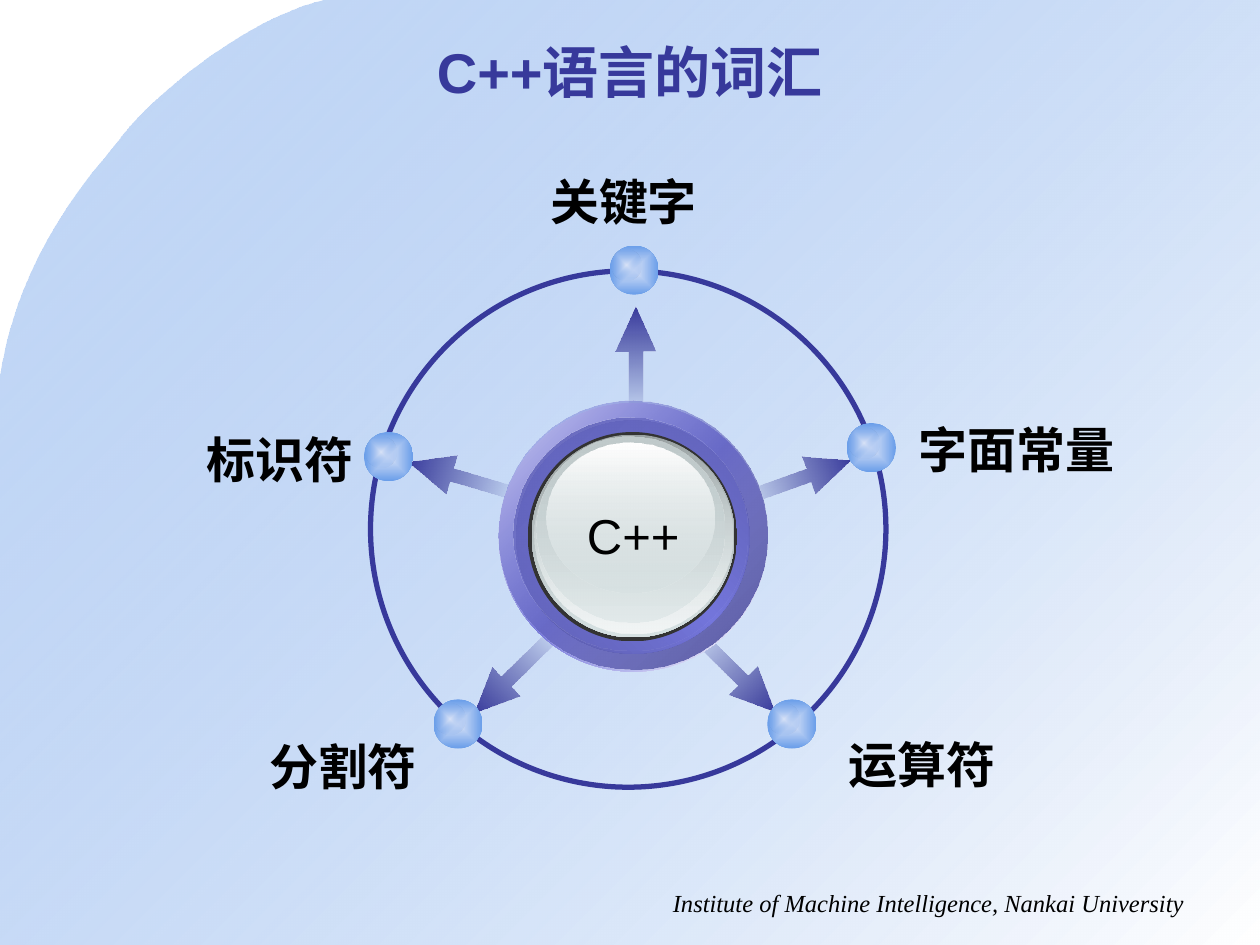
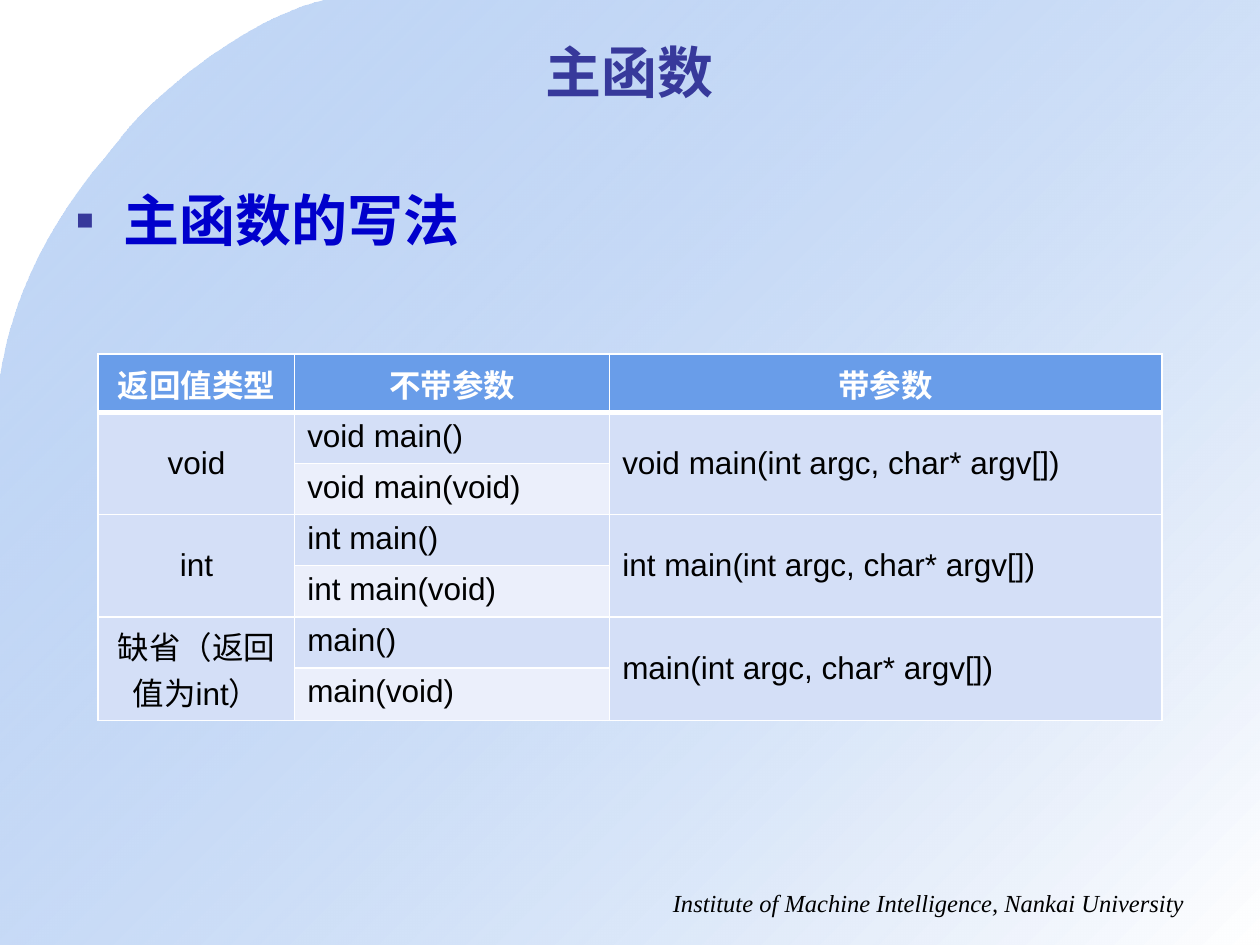
from lxml import etree
from pptx import Presentation
from pptx import util as u
from pptx.dml.color import RGBColor
from pptx.enum import shapes, text
from pptx.oxml import parse_xml
from pptx.oxml.ns import qn

Cm, Pt = u.Cm, u.Pt
SHAPE, ALIGN, ANCHOR = shapes.MSO_SHAPE, text.PP_ALIGN, text.MSO_ANCHOR

INDIGO = RGBColor(0x37, 0x39, 0x9B)
DEEP_INDIGO = RGBColor(0x34, 0x36, 0x93)
VIOLET = RGBColor(0x74, 0x76, 0xDC)
DARK_VIOLET = RGBColor(0x53, 0x54, 0x9D)
MID_VIOLET = RGBColor(0x59, 0x5A, 0xA8)
SOFT_VIOLET = RGBColor(0x5F, 0x61, 0xB5)
SKY = RGBColor(0x69, 0x9D, 0xE9)
PALE_SKY = RGBColor(0xDB, 0xE4, 0xF8)
STRONG_BLUE = RGBColor(0x00, 0x00, 0xCC)
CELL_BLUE = RGBColor(0xD4, 0xDF, 0xF7)
CELL_PALE = RGBColor(0xEB, 0xEF, 0xFB)
STEEL = RGBColor(0x99, 0xA1, 0xA2)
SILVER = RGBColor(0xC1, 0xCB, 0xCC)
MIST = RGBColor(0xD6, 0xE1, 0xE2)
FROST = RGBColor(0xF2, 0xF5, 0xF5)
CHARCOAL = RGBColor(0x33, 0x33, 0x33)
BLACK = RGBColor(0, 0, 0)
WHITE = RGBColor(0xFF, 0xFF, 0xFF)

SANS, CJK, SERIF = "Arial", "Noto Sans CJK SC", "Times New Roman"
SLIDE_W, SLIDE_H = 25.4, 19.05

# Shared content (lengths in cm)
FOOTER = "Institute of Machine Intelligence, Nankai University"
FOOTER_BOX = (12.27, 17.78, 11.86, 0.86)
TITLE_BOX = (1.27, 0.64, 22.86, 1.57)
CORNER_CURVES = [
    [(6.55, 0), (4.83, 0.41), (2.95, 2.11), (2.49, 2.72)],
    [(2.49, 2.72), (2.03, 3.35), (0.41, 4.93), (0, 7.65)],
]

# Vocabulary slide: word, label corner, node corner, arrow corner, arrow turn
VOCABULARY_TITLE = "C++语言的词汇"
HUB_WORD = "C++"
VOCABULARY = [
    ("关键字", (10.77, 3.33), (12.29, 4.95), (11.71, 6.88), 270),
    ("运算符", (16.79, 14.68), (15.47, 14.1), (13.72, 13.16), 45),
    ("标识符", (3.84, 8.53), (7.34, 8.71), (8.2, 9.22), 196.2),
    ("分割符", (5.11, 14.73), (8.74, 14.1), (9.25, 13.18), 135.5),
    ("字面常量", (18.19, 8.33), (17.07, 8.53), (14.99, 9.25), 340.4),
]
ORBIT = (7.47, 5.46, 10.39, 10.41)
ARROW_SIZE = (2.21, 0.81)
NODE_SIZE, GLINT_SIZE, GLINT_SHIFT = 0.99, 0.62, (0.03, 0.09)
GLYPH_WIDTH, LABEL_PADDING, LABEL_HEIGHT = 0.99, 0.56, 1.45

# Hub discs from back to front: box, gradient stops (position, colour, opacity), angle
HUB_DISCS = [
    ((10.06, 8.13, 5.41, 5.41), [(0, WHITE, 100), (50, VIOLET, 100), (100, WHITE, 100)], 45),
    ((10.06, 8.08, 5.41, 5.41), [(0, VIOLET, 32), (100, DARK_VIOLET, 100)], 45),
    ((10.41, 8.48, 4.7, 4.7),
     [(0, MID_VIOLET, 100), (50, VIOLET, 100), (100, MID_VIOLET, 100)], 315),
    ((10.36, 8.41, 4.7, 4.7), [(0, SOFT_VIOLET, 100), (100, VIOLET, 0)], 45),
    ((10.64, 8.71, 4.22, 4.22), [(0, CHARCOAL, 100), (100, CHARCOAL, 100)], 0),
    ((10.72, 8.76, 4.09, 4.09), [(0, STEEL, 100), (100, MIST, 100)], 90),
    ((10.77, 8.79, 3.99, 3.99), [(0, MIST, 0), (100, FROST, 100)], 90),
    ((10.82, 8.81, 3.78, 3.73), [(0, SILVER, 100), (100, MIST, 48)], 90),
    ((11.02, 8.92, 3.38, 3.02), [(0, WHITE, 100), (100, MIST, 38)], 90),
]

# Main function slide
MAIN_TITLE = "主函数"
MAIN_POINT = "主函数的写法"
POINT_BOX = (1.27, 3.61, 22.66, 1.37)
TABLE_CORNER = (1.98, 7.14)
COLUMN_WIDTHS, ROW_HEIGHT = (3.96, 6.35, 11.13), 1.03
HEADINGS = ["返回值类型", "不带参数", "带参数"]
SIGNATURES = [
    ("void", ("void main()", "void main(void)"), "void main(int argc, char* argv[])"),
    ("int", ("int main()", "int main(void)"), "int main(int argc, char* argv[])"),
    ("缺省（返回值为int）", ("main()", "main(void)"), "main(int argc, char* argv[])"),
]


def lengths(box):
    return [Cm(value) for value in box]


def write(frame, words, size=18, font=SANS, color=BLACK, bold=False, italic=False,
          align=ALIGN.LEFT, anchor=ANCHOR.TOP, wrap=True):
    frame.word_wrap = wrap
    frame.vertical_anchor = anchor
    paragraph = frame.paragraphs[0]
    paragraph.alignment = align
    paragraph.space_before = Pt(0)
    run = paragraph.add_run()
    run.text = words
    run.font.size, run.font.name = Pt(size), font
    run.font.bold, run.font.italic = bold, italic
    run.font.color.rgb = color
    etree.SubElement(run._r.get_or_add_rPr(), qn("a:ea"), typeface=CJK)
    return paragraph


def add_label(slide, box, words, **style):
    write(slide.shapes.add_textbox(*lengths(box)).text_frame, words, **style)


def paint(shape, stops, angle=None):
    """Fill with a linear gradient, or one from the centre outwards without an angle."""
    shape.shadow.inherit = False
    shape.line.fill.background()
    shape.fill.solid()
    marks = "".join(
        f'<a:gs pos="{position * 1000}"><a:srgbClr val="{color}">'
        f'<a:alpha val="{opacity * 1000}"/></a:srgbClr></a:gs>'
        for position, color, opacity in stops)
    if angle is None:
        course = ('<a:path path="shape"><a:fillToRect l="50000" t="50000" '
                  'r="50000" b="50000"/></a:path>')
    else:
        course = f'<a:lin ang="{angle * 60000}" scaled="1"/>'
    gradient = parse_xml(
        '<a:gradFill xmlns:a="http://schemas.openxmlformats.org/drawingml/2006/main" '
        f'rotWithShape="1"><a:gsLst>{marks}</a:gsLst>{course}</a:gradFill>')
    properties = shape.element.spPr
    properties.replace(properties.find(qn("a:solidFill")), gradient)


def add_disc(holder, box, stops, angle=None):
    paint(holder.shapes.add_shape(SHAPE.OVAL, *lengths(box)), stops, angle)


def curve_points(start, pull_out, pull_in, end, steps=24):
    """Points along a cubic Bezier curve, without its start."""
    for step in range(1, steps + 1):
        t = step / steps
        weights = ((1 - t) ** 3, 3 * t * (1 - t) ** 2, 3 * t * t * (1 - t), t ** 3)
        yield tuple(
            Cm(sum(w * point[axis] for w, point in zip(weights, (start, pull_out, pull_in, end))))
            for axis in (0, 1))


def decorate_master(prs, slide):
    """Draw the backdrop and footer, then move them to the master all slides share."""
    builder = slide.shapes.build_freeform(*lengths(CORNER_CURVES[0][0]), scale=1.0)
    outline = [point for curve in CORNER_CURVES for point in curve_points(*curve)]
    corners = [(0, SLIDE_H), (SLIDE_W, SLIDE_H), (SLIDE_W, 0)]
    builder.add_line_segments(outline + [tuple(lengths(corner)) for corner in corners])
    backdrop = builder.convert_to_shape()
    paint(backdrop, [(0, SKY, 39), (100, WHITE, 100)], 45)
    add_label(slide, FOOTER_BOX, FOOTER, size=14, font=SERIF, italic=True, align=ALIGN.RIGHT)
    footer = slide.shapes[-1]
    for order, part in enumerate((backdrop, footer)):
        part.element.xpath(".//p:cNvPr")[0].set("id", str(100 + order))
        prs.slide_master.shapes.element.insert(2 + order, part.element)


def place(placeholder, box):
    placeholder.left, placeholder.top, placeholder.width, placeholder.height = lengths(box)
    placeholder.text_frame.auto_size = text.MSO_AUTO_SIZE.NONE
    return placeholder.text_frame


def add_titled_slide(prs, layout, title):
    slide = prs.slides.add_slide(prs.slide_layouts[layout])
    write(place(slide.shapes.title, TITLE_BOX), title, size=32, color=INDIGO, bold=True,
          align=ALIGN.CENTER, anchor=ANCHOR.MIDDLE)
    return slide


def add_node(slide, left, top):
    node = slide.shapes.add_group_shape()
    stops = [(0, PALE_SKY, 100), (100, SKY, 100)]
    add_disc(node, (left, top, NODE_SIZE, NODE_SIZE), stops)
    glint = (left + GLINT_SHIFT[0], top + GLINT_SHIFT[1], GLINT_SIZE, GLINT_SIZE)
    add_disc(node, glint, [stops[0], (100, SKY, 0)])


def fill_vocabulary(slide):
    for _, _, _, corner, turn in VOCABULARY:
        arrow = slide.shapes.add_shape(SHAPE.RIGHT_ARROW, *lengths(corner + ARROW_SIZE))
        arrow.adjustments[0], arrow.adjustments[1] = 0.35, 1.11
        arrow.rotation = turn
        paint(arrow, [(0, DEEP_INDIGO, 0), (100, INDIGO, 100)], 0)

    orbit = slide.shapes.add_shape(SHAPE.OVAL, *lengths(ORBIT))
    orbit.shadow.inherit = False
    orbit.fill.background()
    orbit.line.color.rgb, orbit.line.width = INDIGO, Pt(3)

    for _, _, corner, _, _ in VOCABULARY:
        add_node(slide, *corner)
    for disc in HUB_DISCS:
        add_disc(slide, *disc)
    add_label(slide, (11.56, 10.06, 2.41, LABEL_HEIGHT), HUB_WORD, size=28,
              align=ALIGN.CENTER, wrap=False)
    for word, corner, _, _, _ in VOCABULARY:
        width = len(word) * GLYPH_WIDTH + LABEL_PADDING
        add_label(slide, corner + (width, LABEL_HEIGHT), word, size=28, font=CJK,
                  bold=True, align=ALIGN.RIGHT, wrap=False)


def add_bullet(paragraph, mark, color, indent):
    properties = paragraph._p.get_or_add_pPr()
    properties.set("marL", str(Cm(indent)))
    properties.set("indent", str(-Cm(indent)))
    tint = etree.SubElement(properties, qn("a:buClr"))
    etree.SubElement(tint, qn("a:srgbClr"), val=str(color))
    etree.SubElement(properties, qn("a:buFont"), typeface=SANS)
    etree.SubElement(properties, qn("a:buChar"), char=mark)


def finish_cell(cell, fill, top=1, bottom=1):
    """Fill a cell and give it white borders; top and bottom are widths in points."""
    cell.fill.solid()
    cell.fill.fore_color.rgb = fill
    widths = {"a:lnL": 1, "a:lnR": 1, "a:lnT": top, "a:lnB": bottom}
    for order, (side, width) in enumerate(widths.items()):
        border = etree.Element(qn(side), w=str(Pt(width)))
        paint_part = etree.SubElement(border, qn("a:solidFill"))
        etree.SubElement(paint_part, qn("a:srgbClr"), val=str(WHITE))
        cell._tc.get_or_add_tcPr().insert(order, border)


def fill_main_function(slide):
    point = write(place(slide.placeholders[1], POINT_BOX), MAIN_POINT, size=32, font=CJK,
                  color=STRONG_BLUE, bold=True)
    add_bullet(point, "▪", INDIGO, 0.97)

    row_count = 1 + 2 * len(SIGNATURES)
    size = (sum(COLUMN_WIDTHS), row_count * ROW_HEIGHT)
    table = slide.shapes.add_table(row_count, len(HEADINGS),
                                   *lengths(TABLE_CORNER + size)).table
    for column, width in zip(table.columns, COLUMN_WIDTHS):
        column.width = Cm(width)
    for row in table.rows:
        row.height = Cm(ROW_HEIGHT)

    for column, heading in enumerate(HEADINGS):
        cell = table.cell(0, column)
        write(cell.text_frame, heading, color=WHITE, bold=True, align=ALIGN.CENTER)
        finish_cell(cell, SKY, bottom=3)
        for row in range(1, row_count):
            pale = column == 1 and row % 2 == 0
            finish_cell(table.cell(row, column), CELL_PALE if pale else CELL_BLUE,
                        top=3 if row == 1 else 1)

    for group, (returned, without, with_parameters) in enumerate(SIGNATURES):
        first = 1 + 2 * group
        for column, words, align in ((0, returned, ALIGN.CENTER),
                                     (2, with_parameters, ALIGN.LEFT)):
            cell = table.cell(first, column)
            cell.merge(table.cell(first + 1, column))
            write(cell.text_frame, words, align=align)
            cell.vertical_anchor = ANCHOR.MIDDLE
        for offset, signature in enumerate(without):
            write(table.cell(first + offset, 1).text_frame, signature)


def main():
    prs = Presentation()
    prs.slide_width, prs.slide_height = lengths((SLIDE_W, SLIDE_H))
    vocabulary = add_titled_slide(prs, 5, VOCABULARY_TITLE)
    decorate_master(prs, vocabulary)
    fill_vocabulary(vocabulary)
    fill_main_function(add_titled_slide(prs, 1, MAIN_TITLE))
    prs.save("out.pptx")


if __name__ == "__main__":
    main()
